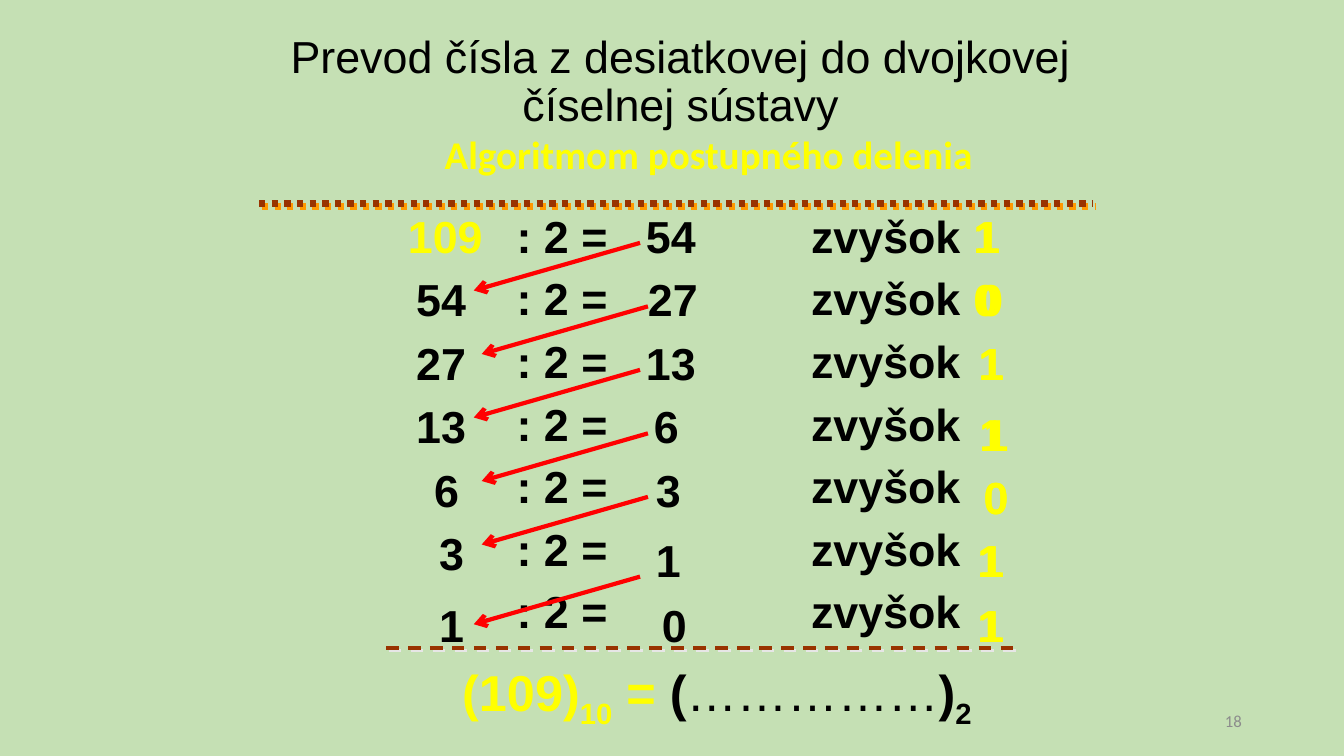
from lxml.etree import SubElement
from pptx import Presentation
from pptx.dml.color import RGBColor
from pptx.enum.dml import MSO_LINE
from pptx.enum.shapes import MSO_CONNECTOR
from pptx.enum.text import MSO_ANCHOR, MSO_AUTO_SIZE, PP_ALIGN
from pptx.oxml.ns import qn
from pptx.util import Cm, Pt

COLORS = {"back": "C5E0B4", "black": "000000", "yellow": "FFFF00", "red": "FF0000",
          "brown": "993300", "orange": "FF9900", "pale": "E7E6E6", "grey": "8C8C8C"}
RGB = {name: RGBColor.from_string(value) for name, value in COLORS.items()}

prs = Presentation()
prs.slide_width, prs.slide_height = Cm(33.87), Cm(19.05)
s = prs.slides.add_slide(prs.slide_layouts[5])
s.background.fill.solid()
s.background.fill.fore_color.rgb = RGB["back"]


def add_text(x, y, w, h, runs, size=32, font="Arial", bold=True, wrap=False):
    tf = s.shapes.add_textbox(Cm(x), Cm(y), Cm(w), Cm(h)).text_frame
    tf.word_wrap = wrap
    tf.auto_size = MSO_AUTO_SIZE.NONE if wrap else MSO_AUTO_SIZE.SHAPE_TO_FIT_TEXT
    p = tf.paragraphs[0]
    p.font.size, p.font.name, p.font.bold = Pt(size), font, bold
    for text, color in runs:
        r = p.add_run()
        r.text = text
        r.font.color.rgb = RGB[color]
    return tf


def add_line(x1, y1, x2, y2, color, width, dash=None, shadow=None, arrow=False):
    line = s.shapes.add_connector(MSO_CONNECTOR.STRAIGHT, Cm(x1), Cm(y1), Cm(x2), Cm(y2))
    line.line.color.rgb = RGB[color]
    line.line.width = Pt(width)
    if dash:
        line.line.dash_style = dash
    if arrow:
        SubElement(line.line._get_or_add_ln(), qn("a:tailEnd"), type="arrow")
    effects = SubElement(line._element.spPr, qn("a:effectLst"))
    if shadow:
        outer = SubElement(effects, qn("a:outerShdw"), dist=str(Pt(2.8)), dir="2700000",
                           algn="ctr", rotWithShape="0")
        SubElement(outer, qn("a:srgbClr"), val=COLORS[shadow])


title = s.shapes.title
title.left, title.top, title.width, title.height = Cm(5.51), Cm(0.67), Cm(23.29), Cm(2.84)
tf = title.text_frame
tf.text = "Prevod čísla z desiatkovej do dvojkovej číselnej sústavy"
tf.word_wrap = True
tf.auto_size = MSO_AUTO_SIZE.NONE
tf.vertical_anchor = MSO_ANCHOR.MIDDLE
p = tf.paragraphs[0]
p.alignment, p.line_spacing = PP_ALIGN.CENTER, 0.9
p.font.size, p.font.name, p.font.color.rgb = Pt(32), "Arial", RGB["black"]

tf = add_text(6.73, 3.3, 22.25, 1.63, [("Algoritmom postupného delenia", "yellow")],
              28, "Calibri", wrap=True)
tf.paragraphs[0].alignment = PP_ALIGN.CENTER
tf.paragraphs[0].line_spacing = 0.9

DIVISION = "\t: 2 = \t\tzvyšok"
tf = add_text(10.03, 5.13, 18.11, 11.48, [("109", "yellow"), (DIVISION, "black")], wrap=True)
for row in range(7):
    p = tf.paragraphs[0]
    if row:
        p = tf.add_paragraph()
        p.text = DIVISION
        p.space_before = Pt(6.3)
    tabs = SubElement(p._p.get_or_add_pPr(), qn("a:tabLst"))
    for stop in (2.74, 7.95, 10.16):
        SubElement(tabs, qn("a:tab"), pos=str(Cm(stop)), algn="l")
    if row:
        p.font.size, p.font.name, p.font.bold = Pt(32), "Arial", True
        p.font.color.rgb = RGB["black"]

ROW_TOPS = [5.13, 6.73, 8.33, 9.93, 11.53, 13.13, 14.94]
LATE_TOPS = [5.13, 6.73, 8.33, 10.12, 11.72, 13.31, 14.94]
COLUMNS = [
    ("black", ROW_TOPS[1:], ["54", "27", "13", "6", "3", "1"],
     [10.24, 10.24, 10.24, 10.69, 10.82, 10.82]),
    ("black", ROW_TOPS[:5] + LATE_TOPS[5:], ["54", "27", "13", "6", "3", "1", "0"],
     [16.03, 16.08, 16.03, 16.23, 16.28, 16.28, 16.43]),
    ("yellow", LATE_TOPS, "1011011", [24.28, 24.28, 24.43, 24.43, 24.54, 24.43, 24.43]),
    ("yellow", LATE_TOPS, "1011011", [24.33, 24.41, 24.41, 24.54, 24.54, 24.38, 24.38]),
]
for color, tops, numbers, lefts in COLUMNS:
    for x, y, number in zip(lefts, tops, numbers):
        add_text(x, y, 1.85 if len(number) == 2 else 1.2, 1.6, [(number, color)])

add_line(6.53, 5.13, 27.53, 5.13, "brown", 4.5, MSO_LINE.ROUND_DOT, "orange")

tf = add_text(11.4, 16.54, 13.54, 1.78,
              [("(109)", "yellow"), ("10", "yellow"), (" = ", "yellow"), ("(", "black"),
               ("……………", "black"), (")", "black"), ("2", "black")], 36)
runs = tf.paragraphs[0].runs
runs[4].font.bold = False
for r in (runs[1], runs[6]):
    r._r.get_or_add_rPr().set("baseline", "-25000")

ARROW_STARTS = [(16.13, 6.12), (16.33, 7.72), (16.13, 9.32),
                (16.33, 10.92), (16.33, 12.52), (16.13, 14.53)]
for x, y in ARROW_STARTS:
    add_line(x, y, x - 4.19, y + 1.2, "red", 3, arrow=True)

add_line(9.73, 16.33, 25.53, 16.33, "brown", 2.25, MSO_LINE.DASH, "pale")

tf = add_text(23.93, 17.65, 7.62, 1.02, [("18", "grey")], 12, "Calibri", False, True)
tf.vertical_anchor = MSO_ANCHOR.MIDDLE
tf.paragraphs[0].alignment = PP_ALIGN.RIGHT

prs.save("out.pptx")
